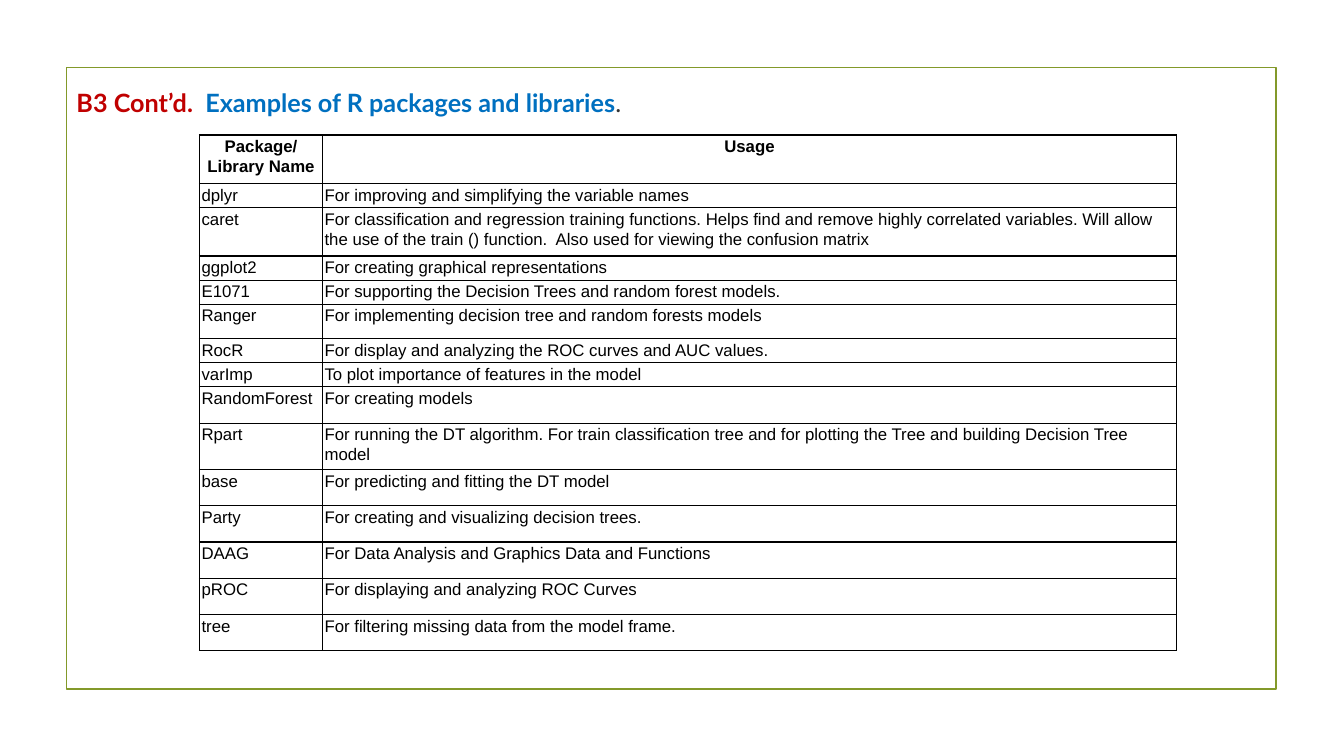
from lxml.etree import SubElement
from pptx import Presentation
from pptx.dml.color import RGBColor
from pptx.enum.shapes import MSO_SHAPE
from pptx.enum.text import MSO_ANCHOR, MSO_AUTO_SIZE, PP_ALIGN
from pptx.oxml.ns import qn
from pptx.util import Inches, Pt

# Row heights as percent of the slide height
LINE, MEDIUM, TALL, WRAPPED, DOUBLE = 3.2, 4.53, 4.8, 6.13, 6.4

HEADER = (DOUBLE, "Package/Library Name", "Usage")
PACKAGES = [
    (LINE, "dplyr", "For improving and simplifying the variable names"),
    (DOUBLE, "caret",
     "For classification and regression training functions. Helps find and "
     "remove highly correlated variables. Will allow the use of the train () "
     "function.  Also used for viewing the confusion matrix"),
    (LINE, "ggplot2", "For creating graphical representations"),
    (LINE, "E1071", "For supporting the Decision Trees and random forest models."),
    (MEDIUM, "Ranger", "For implementing decision tree and random forests models"),
    (LINE, "RocR", "For display and analyzing the ROC curves and AUC values."),
    (LINE, "varImp", "To plot importance of features in the model"),
    (TALL, "RandomForest", "For creating models"),
    (WRAPPED, "Rpart",
     "For running the DT algorithm. For train classification tree and for "
     "plotting the Tree and building Decision Tree model"),
    (TALL, "base", "For predicting and fitting the DT model"),
    (TALL, "Party", "For creating and visualizing decision trees."),
    (TALL, "DAAG", "For Data Analysis and Graphics Data and Functions"),
    (TALL, "pROC", "For displaying and analyzing ROC Curves"),
    (TALL, "tree", "For filtering missing data from the model frame."),
]


def color(value):
    return RGBColor.from_string(value)


def apply(target, formats):
    for name, value in formats.items():
        setattr(target, name, value)


class Deck:
    """Slide style and elements; lengths are percent of the slide's size."""

    title_font = {"name": "Lato", "size": Pt(18)}
    cell_font = {"name": "Arial", "size": Pt(12)}
    cell_paragraph = {"line_spacing": 1.07, "space_after": Pt(8)}
    cell_format = {"margin_left": Inches(0.02), "margin_right": Inches(0.02),
                   "margin_top": Inches(0.01), "margin_bottom": 0,
                   "vertical_anchor": MSO_ANCHOR.TOP}
    black = "000000"

    def __init__(self):
        self.prs = Presentation()
        apply(self.prs, {"slide_width": Inches(13.33), "slide_height": Inches(7.5)})
        self.s = self.prs.slides.add_slide(self.prs.slide_layouts[6])

    def x(self, share):
        return round(self.prs.slide_width * share / 100)

    def y(self, share):
        return round(self.prs.slide_height * share / 100)

    def box(self, left, top, width, height):
        return self.x(left), self.y(top), self.x(width), self.y(height)

    def run(self, p, text, font, hex_color, bold):
        r = p.add_run()
        r.text = text
        apply(r.font, {**font, "bold": bold})
        r.font.color.rgb = color(hex_color)

    def frame(self, area, hex_color, weight):
        sp = self.s.shapes.add_shape(MSO_SHAPE.RECTANGLE, *self.box(*area))
        sp.shadow.inherit = False
        sp.fill.background()
        sp.line.color.rgb = color(hex_color)
        sp.line.width = Pt(weight)

    def title(self, area, parts):
        tf = self.s.shapes.add_textbox(*self.box(*area)).text_frame
        apply(tf, {"word_wrap": True, "auto_size": MSO_AUTO_SIZE.SHAPE_TO_FIT_TEXT})
        for text, hex_color, bold in parts:
            self.run(tf.paragraphs[0], text, self.title_font, hex_color, bold)

    def borders(self, cell):
        tc_pr = cell._tc.get_or_add_tcPr()
        for side in ("lnL", "lnR", "lnT", "lnB"):
            ln = SubElement(tc_pr, qn(f"a:{side}"), w=str(Pt(1)))
            fill = SubElement(ln, qn("a:solidFill"))
            SubElement(fill, qn("a:srgbClr"), val=self.black)

    def cell(self, cell, text, is_header):
        self.borders(cell)
        cell.fill.background()
        apply(cell, self.cell_format)
        p = cell.text_frame.paragraphs[0]
        apply(p, self.cell_paragraph)
        p.alignment = PP_ALIGN.CENTER if is_header else PP_ALIGN.LEFT
        self.run(p, text, self.cell_font, self.black, is_header)

    def table(self, left, top, widths, rows):
        area = self.box(left, top, sum(widths), sum(row[0] for row in rows))
        table = self.s.shapes.add_table(len(rows), len(widths), *area).table
        apply(table, {"first_row": False, "horz_banding": False})
        for column, width in zip(table.columns, widths):
            column.width = self.x(width)
        for i, (height, *texts) in enumerate(rows):
            table.rows[i].height = self.y(height)
            for j, text in enumerate(texts):
                self.cell(table.cell(i, j), text, is_header=i == 0)


def main():
    deck = Deck()

    # Border around the content
    deck.frame((4.95, 8.93, 90.02, 82.27), "83992A", 1.25)

    # Heading in three colours
    deck.title((4.95, 10.93, 84.85, 5.47), [
        ("B3 Cont’d.  ", "C00000", True),
        ("Examples of R packages and libraries", "0070C0", True),
        (".", "333333", False),
    ])

    # Packages and their usage
    deck.table(14.85, 17.87, (9.15, 63.54), [HEADER, *PACKAGES])

    deck.prs.save("out.pptx")


if __name__ == "__main__":
    main()
